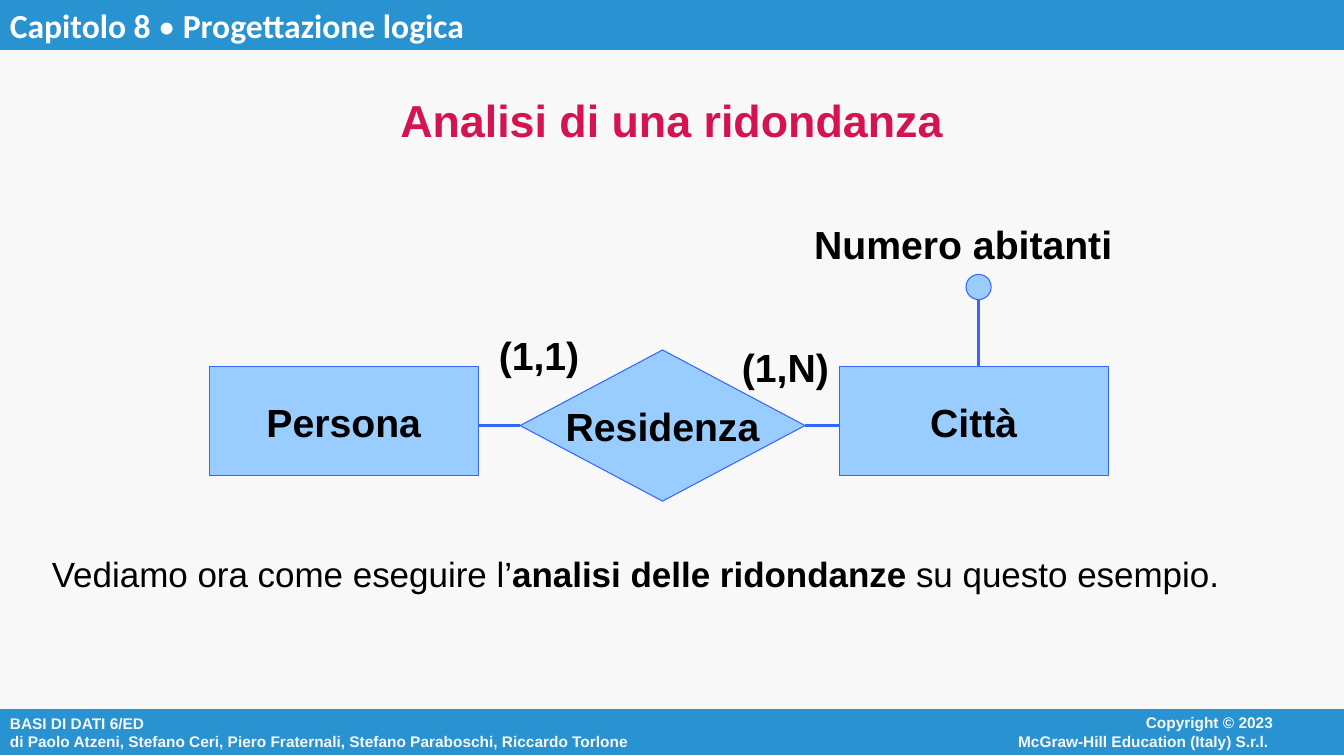
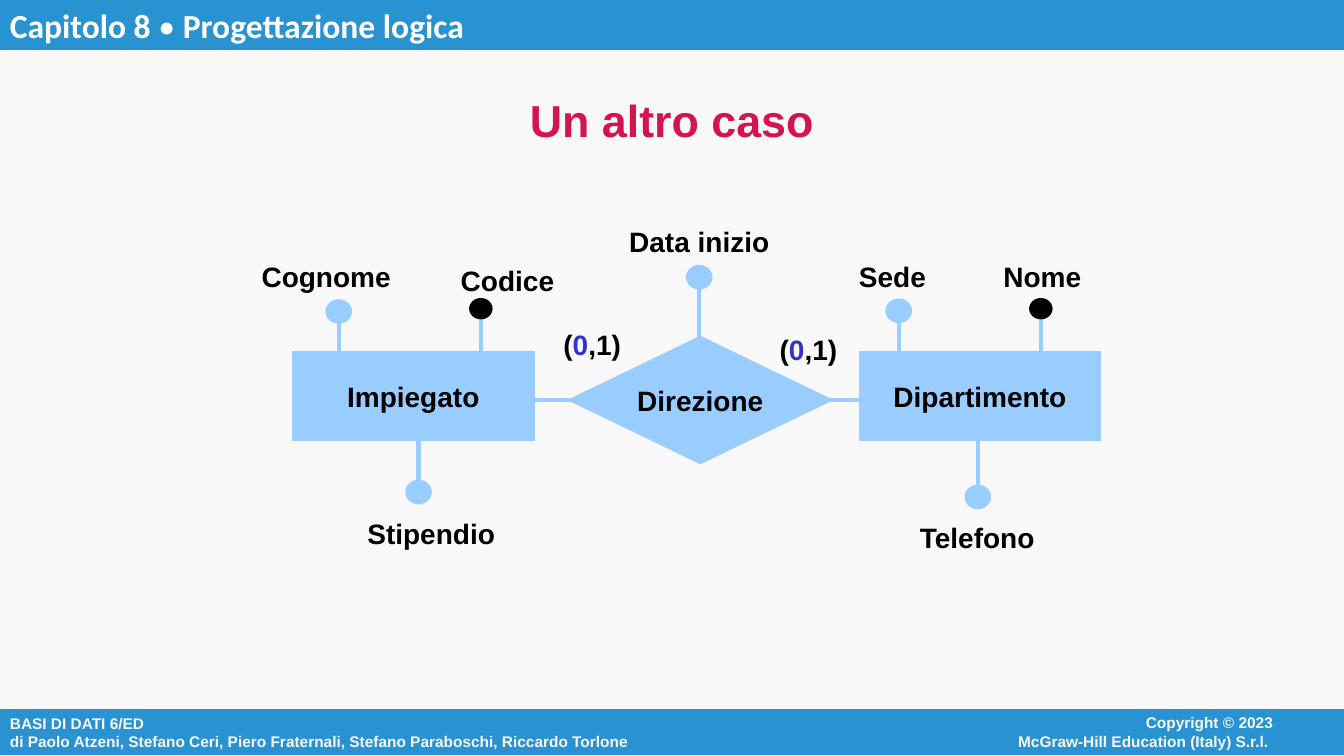
from pptx import Presentation
from pptx.dml.color import RGBColor
from pptx.enum.shapes import MSO_CONNECTOR, MSO_SHAPE
from pptx.enum.text import MSO_ANCHOR, PP_ALIGN
from pptx.oxml.ns import qn
from pptx.util import Pt
from lxml import etree

W, H = 960, 540
C = {"bg": "F8F8F8", "band": "2993D1", "white": "FFFFFF", "title": "D41450",
     "black": "000000", "node": "99CCFF", "edge": "3366FF", "zero": "3333CC"}


def add_box(s, kind, box, lines=(), size=20, color="black", fill=None, line=None,
            width=0.75, align=PP_ALIGN.CENTER, anchor=MSO_ANCHOR.MIDDLE,
            wrap=True, font="Arial", bold=True):
    pts = [Pt(v) for v in box]
    if kind is None:
        sp = s.shapes.add_textbox(*pts)
    else:
        sp = s.shapes.add_shape(kind, *pts)
        sp.shadow.inherit = False
        sp.fill.solid()
        sp.fill.fore_color.rgb = RGBColor.from_string(C[fill])
        sp.line.color.rgb = RGBColor.from_string(C[line])
        sp.line.width = Pt(width)
    tf = sp.text_frame
    tf.word_wrap = wrap
    tf.vertical_anchor = anchor
    for i, runs in enumerate(lines):
        p = tf.add_paragraph() if i else tf.paragraphs[0]
        p.alignment = align
        for content, style in runs:
            r = p.add_run()
            r.text = content
            r.font.name = font
            r.font.size = Pt(size)
            r.font.bold = style.get("bold", bold)
            r.font.color.rgb = RGBColor.from_string(C[style.get("color", color)])
    return sp


def add_line(s, x1, y1, x2, y2, color, width):
    ln = s.shapes.add_connector(MSO_CONNECTOR.STRAIGHT, Pt(x1), Pt(y1), Pt(x2), Pt(y2))
    ln.line.color.rgb = RGBColor.from_string(C[color])
    ln.line.width = Pt(width)
    etree.SubElement(ln._element.spPr, qn("a:effectLst"))
    return ln


zero_one = [("(", {}), ("0", {"color": "zero"}), (",1)", {})]
diagrams = [
    {"title": "Analisi di una ridondanza", "size": 28, "line": "edge",
     "line_w": 2.25, "outline_w": 0.75, "diamond_w": 0.75, "dot": (18, 18),
     "entities": [("Persona", (149.5, 262, 192, 78)), ("Città", (599.5, 262, 192, 78))],
     "relation": ("Residenza", (371.5, 250, 203.5, 108)),
     "attributes": [("Numero abitanti", 699, 205, 262, "node", 688, 154)],
     "cardinalities": [([("(1,1)", {})], 385, 233), ([("(1,N)", {})], 561, 242)]},
    {"title": "Un altro caso", "size": 20, "line": "node",
     "line_w": 3, "outline_w": 0.75, "diamond_w": 3, "dot": (16, 14.5),
     "entities": [("Impiegato", (209, 251, 172.5, 64)),
                  ("Dipartimento", (614, 251, 172, 64))],
     "relation": ("Direzione", (408.5, 241.5, 183.5, 88.5)),
     "attributes": [("Cognome", 242, 222.5, 251, "node", 233, 181.5),
                    ("Codice", 343.5, 220.5, 251, "black", 362.5, 184.5),
                    ("Data inizio", 499.5, 198, 241, "node", 499.5, 157),
                    ("Sede", 642, 222, 251, "node", 637.5, 182),
                    ("Nome", 743.5, 220.5, 251, "black", 744.5, 182),
                    ("Stipendio", 299, 351.5, 315, "node", 308, 365.5),
                    ("Telefono", 698.5, 355, 315, "node", 698, 368.5)],
     "cardinalities": [(zero_one, 423, 230.5), (zero_one, 577.5, 234)]},
]

prs = Presentation()
prs.slide_width, prs.slide_height = Pt(W), Pt(H)

for d in diagrams:
    s = prs.slides.add_slide(prs.slide_layouts[6])
    s.background.fill.solid()
    s.background.fill.fore_color.rgb = RGBColor.from_string(C["bg"])

    add_box(s, MSO_SHAPE.RECTANGLE, (0, 506, W + 1, 34),
            [[("BASI DI DATI 6/ED", {})],
             [("di Paolo Atzeni, Stefano Ceri, Piero Fraternali, "
               "Stefano Paraboschi, Riccardo Torlone", {})]],
            11, "bg", "band", "bg", align=PP_ALIGN.LEFT)
    add_box(s, None, (640, 506, 276.5, 33),
            [[("Copyright © 2023", {})], [("McGraw-Hill Education (Italy) S.r.l. ", {})]],
            11, "bg", align=PP_ALIGN.RIGHT, anchor=MSO_ANCHOR.TOP)
    add_box(s, MSO_SHAPE.RECTANGLE, (0, 0, W + 1, 36),
            [[("Capitolo 8 ", {}), ("•", {"bold": False}), (" Progettazione logica", {})]],
            24, "white", "band", "bg", align=PP_ALIGN.LEFT, anchor=MSO_ANCHOR.TOP,
            font="Calibri")
    add_box(s, None, (111.5, 71.5, 737, 28), [[(d["title"], {})]], 32, "title")

    size = d["size"]
    for name, box in d["entities"]:
        add_box(s, MSO_SHAPE.RECTANGLE, box, [[(name, {})]], size, fill="node",
                line=d["line"], width=d["outline_w"], wrap=False)
    name, box = d["relation"]
    relation = add_box(s, MSO_SHAPE.DIAMOND, box, [[(name, {})]], size, fill="node",
                       line=d["line"], width=d["diamond_w"], wrap=False)

    x, y, w, h = box
    left, right = [b for _, b in d["entities"]]
    for start, side, end in ((left[0] + left[2], 1, x), (right[0], 3, x + w)):
        ln = add_line(s, start, y + h / 2, end, y + h / 2, d["line"], d["line_w"])
        ln.end_connect(relation, side)

    dot_w, dot_h = d["dot"]
    for name, cx, cy, edge_y, fill, label_x, label_y in d["attributes"]:
        add_line(s, cx, cy, cx, edge_y, d["line"], d["line_w"])
        filled = fill == "black"
        add_box(s, MSO_SHAPE.OVAL, (cx - dot_w / 2, cy - dot_h / 2, dot_w, dot_h),
                fill=fill, line=fill if filled else d["line"],
                width=0.75 if filled else d["diamond_w"])
        add_box(s, None, (label_x - 114, label_y, 228, size * 1.2 + 7), [[(name, {})]],
                size, anchor=MSO_ANCHOR.TOP, wrap=False)
    for runs, cx, top in d["cardinalities"]:
        add_box(s, None, (cx - 45, top, 90, size * 1.2 + 7), [runs], size,
                anchor=MSO_ANCHOR.TOP, wrap=False)

body = add_box(prs.slides[0], None, (37, 394.5, 882.5, 76),
               [[("Vediamo ora come eseguire l’", {}),
                 ("analisi delle ridondanze", {"bold": True}),
                 (" su questo esempio.", {})]],
               25, align=PP_ALIGN.LEFT, anchor=MSO_ANCHOR.TOP, bold=False)
tf = body.text_frame
tf.margin_left = tf.margin_right = tf.margin_top = tf.margin_bottom = 0

prs.save("out.pptx")
